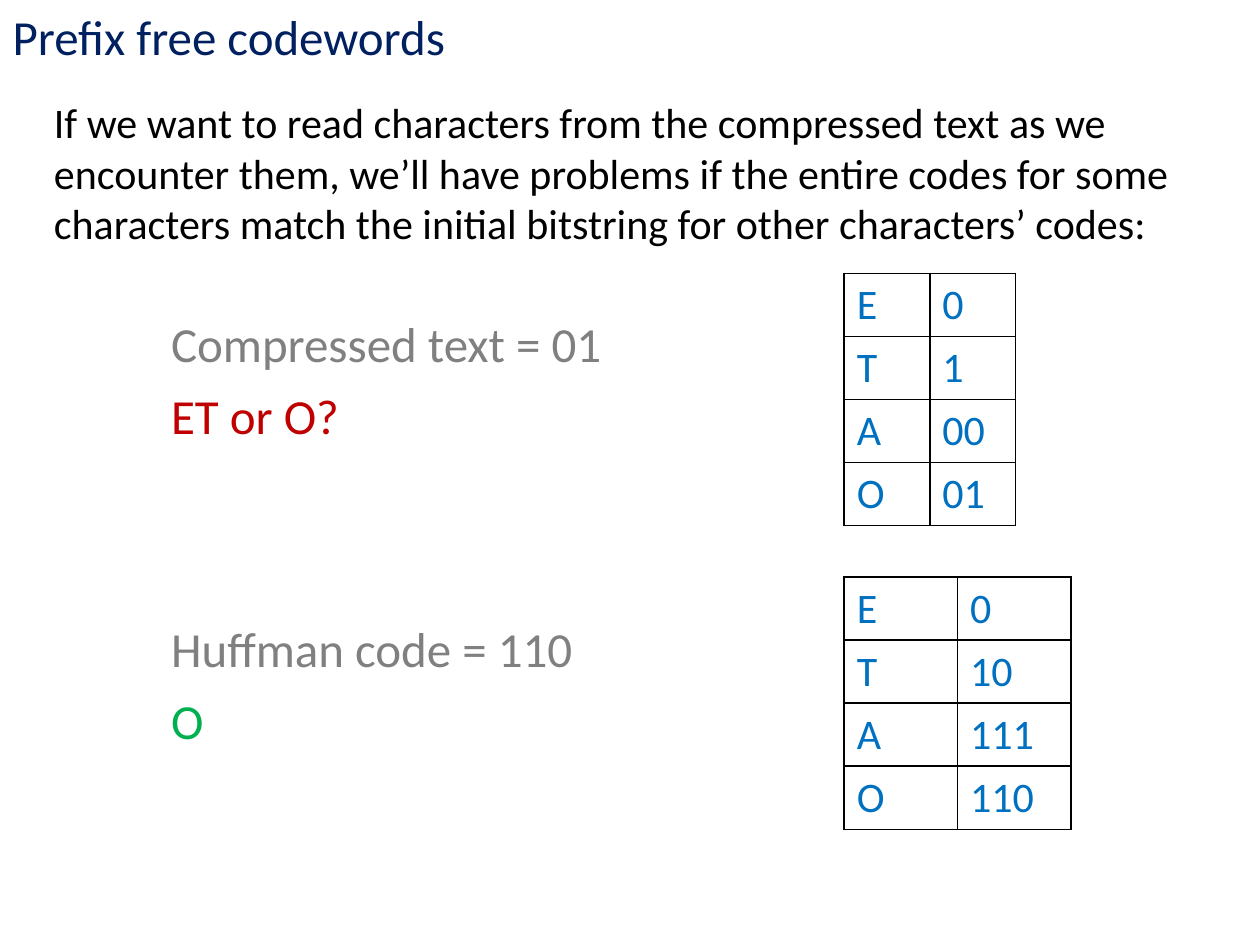
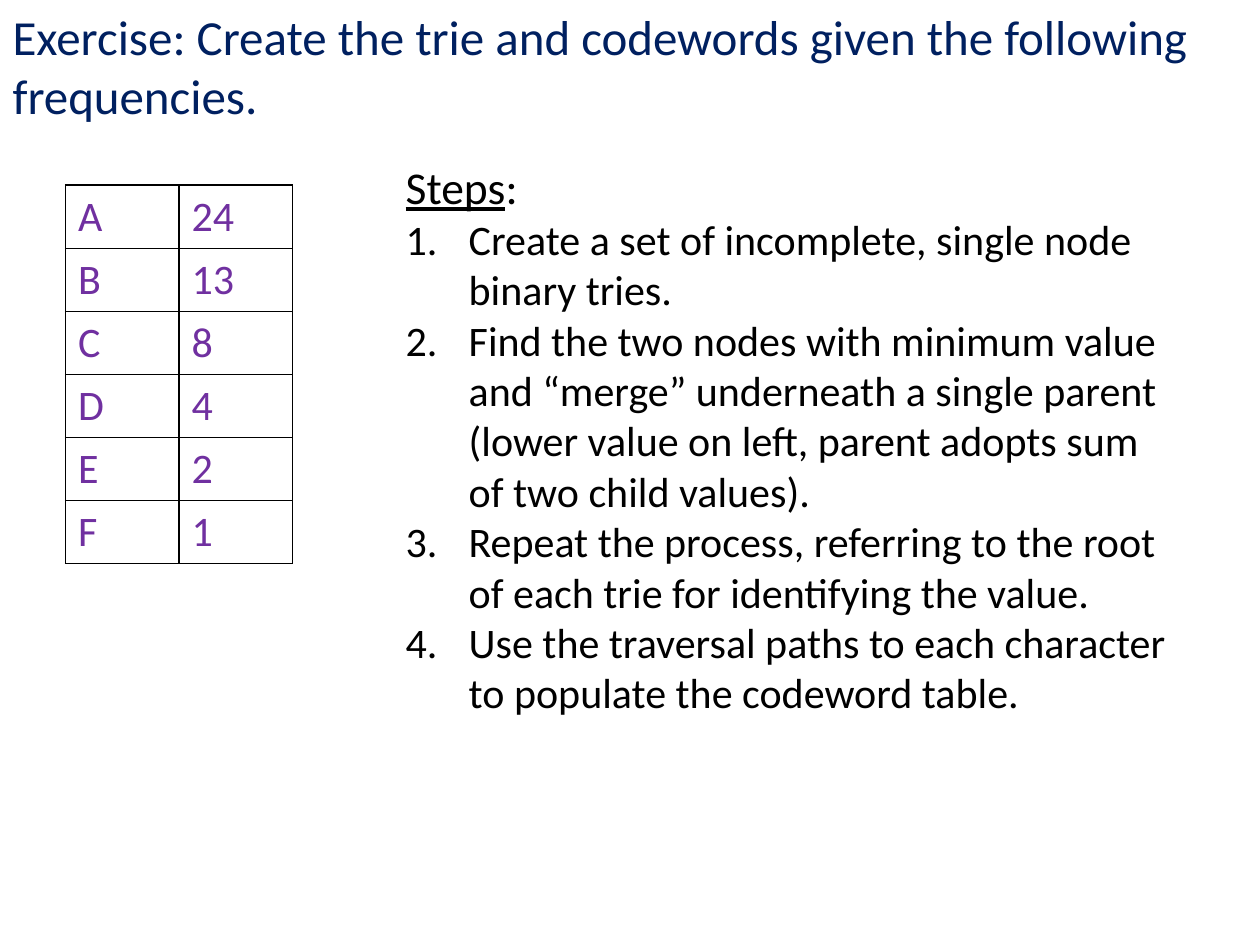
from lxml.etree import SubElement
from pptx import Presentation
from pptx.dml.color import RGBColor
from pptx.enum.text import MSO_ANCHOR, MSO_AUTO_SIZE, PP_ALIGN
from pptx.oxml import parse_xml
from pptx.oxml.ns import nsdecls, qn
from pptx.util import Inches, Pt

FONT = "Calibri"
NAVY = "002060"
BLACK = "000000"
GRAY = "808080"
RED = "C00000"
GREEN = "00B050"
BLUE = "0070C0"
PURPLE = "7030A0"
TITLE_ONLY, TITLE_AND_CONTENT = 5, 1
ROW_HEIGHT = 0.5
LINE_HEIGHT = 0.57


def color(hex_string):
    return RGBColor.from_string(hex_string)


def add_text(paragraph, text, size=24, fill=BLACK, underline=False):
    run = paragraph.add_run()
    run.text = text
    run.font.name = FONT
    run.font.size = Pt(size)
    run.font.color.rgb = color(fill)
    run.font.bold = False
    run.font.underline = underline
    paragraph.alignment = PP_ALIGN.LEFT
    paragraph.space_before = Pt(0)


def place(shape, left, top, width, height):
    shape.left, shape.top = Inches(left), Inches(top)
    shape.width, shape.height = Inches(width), Inches(height)
    frame = shape.text_frame
    frame.word_wrap = True
    frame.auto_size = MSO_AUTO_SIZE.SHAPE_TO_FIT_TEXT
    frame.vertical_anchor = MSO_ANCHOR.TOP
    return frame


def add_text_box(slide, box, text, **text_format):
    frame = place(slide.shapes.add_textbox(0, 0, 0, 0), *box)
    add_text(frame.paragraphs[0], text, **text_format)


def add_titled_slide(presentation, layout, title, box):
    slide = presentation.slides.add_slide(presentation.slide_layouts[layout])
    frame = place(slide.shapes.title, *box)
    add_text(frame.paragraphs[0], title, size=28, fill=NAVY)
    return slide


def add_borders(cell):
    properties = cell._tc.get_or_add_tcPr()
    for index, side in enumerate(("lnL", "lnR", "lnT", "lnB")):
        properties.insert(index, parse_xml(
            f'<a:{side} {nsdecls("a")} w="12700"><a:solidFill>'
            f'<a:srgbClr val="{BLACK}"/></a:solidFill></a:{side}>'))


def add_code_table(slide, left, top, column_width, codes, fill):
    table = slide.shapes.add_table(
        len(codes), 2, Inches(left), Inches(top),
        Inches(2 * column_width), Inches(ROW_HEIGHT * len(codes))).table
    table.first_row = False
    table.horz_banding = False
    for row, entry in enumerate(codes.items()):
        for column, text in enumerate(entry):
            cell = table.cell(row, column)
            cell.fill.background()
            add_borders(cell)
            add_text(cell.text_frame.paragraphs[0], text, fill=fill)


def add_example(slide, left, top, question, answer, answer_color):
    lines = ((question, GRAY), (answer, answer_color))
    for index, (text, fill) in enumerate(lines):
        box = (left, top + index * LINE_HEIGHT, 3.96, LINE_HEIGHT)
        add_text_box(slide, box, text, size=28, fill=fill)


def set_bullet(paragraph, numbered):
    properties = paragraph._p.get_or_add_pPr()
    indent = Inches(0.5) if numbered else 0
    properties.set("marL", str(indent))
    properties.set("indent", str(-indent))
    if numbered:
        SubElement(properties, qn("a:buFont"), typeface="+mj-lt")
        SubElement(properties, qn("a:buAutoNum"), type="arabicPeriod")
    else:
        SubElement(properties, qn("a:buNone"))


def add_steps(slide, box, steps):
    frame = place(slide.placeholders[1], *box)
    heading = frame.paragraphs[0]
    add_text(heading, "Steps", size=26, underline=True)
    add_text(heading, ":", size=26)
    set_bullet(heading, numbered=False)
    for step in steps:
        paragraph = frame.add_paragraph()
        add_text(paragraph, step)
        set_bullet(paragraph, numbered=True)


def build_prefix_slide(presentation):
    slide = add_titled_slide(presentation, TITLE_ONLY, "Prefix free codewords",
                             (0, 0, 8.9, LINE_HEIGHT))
    add_text_box(
        slide, (0.33, 0.72, 9.33, 1.31),
        "If we want to read characters from the compressed text as we "
        "encounter them, we’ll have problems if the entire codes for some "
        "characters match the initial bitstring for other characters’ codes:")
    add_code_table(slide, 6.7, 2.17, 0.68,
                   {"E": "0", "T": "1", "A": "00", "O": "01"}, BLUE)
    add_example(slide, 1.26, 2.44, "Compressed text = 01", "ET or O?", RED)
    add_code_table(slide, 6.7, 4.58, 0.9,
                   {"E": "0", "T": "10", "A": "111", "O": "110"}, BLUE)
    add_example(slide, 1.26, 4.86, "Huffman code = 110", "O", GREEN)


def build_exercise_slide(presentation):
    slide = add_titled_slide(
        presentation, TITLE_AND_CONTENT,
        "Exercise: Create the trie and codewords given the following frequencies.",
        (0, 0, 9.74, 1.04))
    frequencies = {"A": "24", "B": "13", "C": "8", "D": "4", "E": "2", "F": "1"}
    add_code_table(slide, 0.52, 1.47, 0.9, frequencies, PURPLE)
    add_steps(slide, (3.12, 1.21, 6.29, 4.58), (
        "Create a set of incomplete, single node binary tries.",
        "Find the two nodes with minimum value and “merge” underneath a single "
        "parent (lower value on left, parent adopts sum of two child values).",
        "Repeat the process, referring to the root of each trie for identifying "
        "the value.",
        "Use the traversal paths to each character to populate the codeword table.",
    ))


def main():
    presentation = Presentation()
    presentation.slide_width = Inches(10)
    presentation.slide_height = Inches(7.5)
    build_prefix_slide(presentation)
    build_exercise_slide(presentation)
    presentation.save("out.pptx")


if __name__ == "__main__":
    main()
